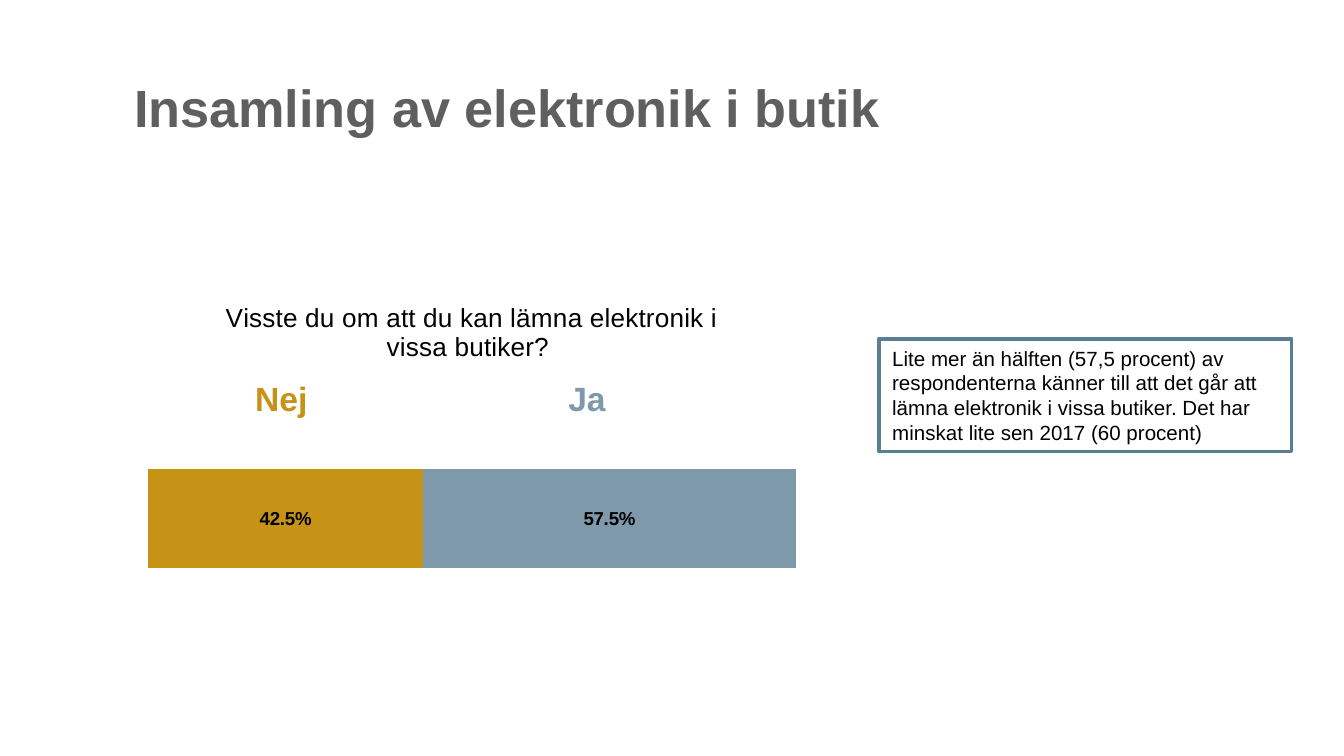
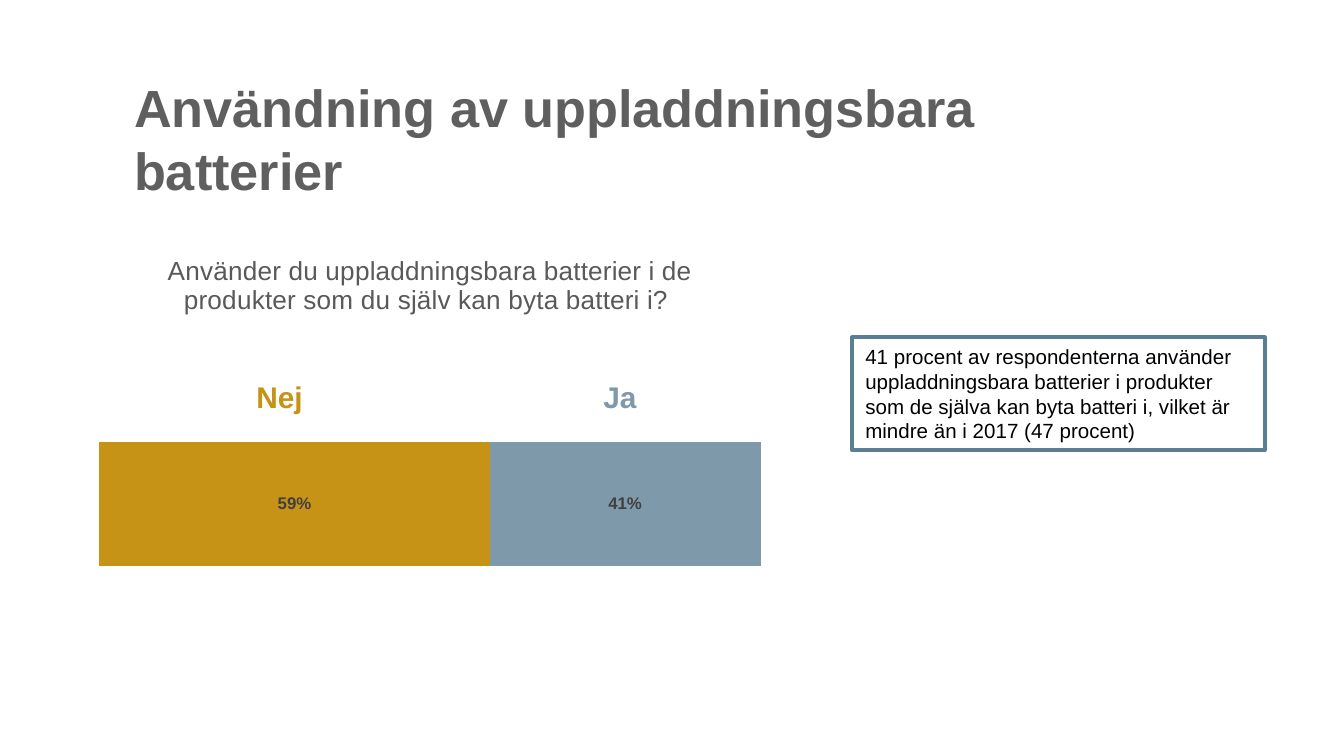
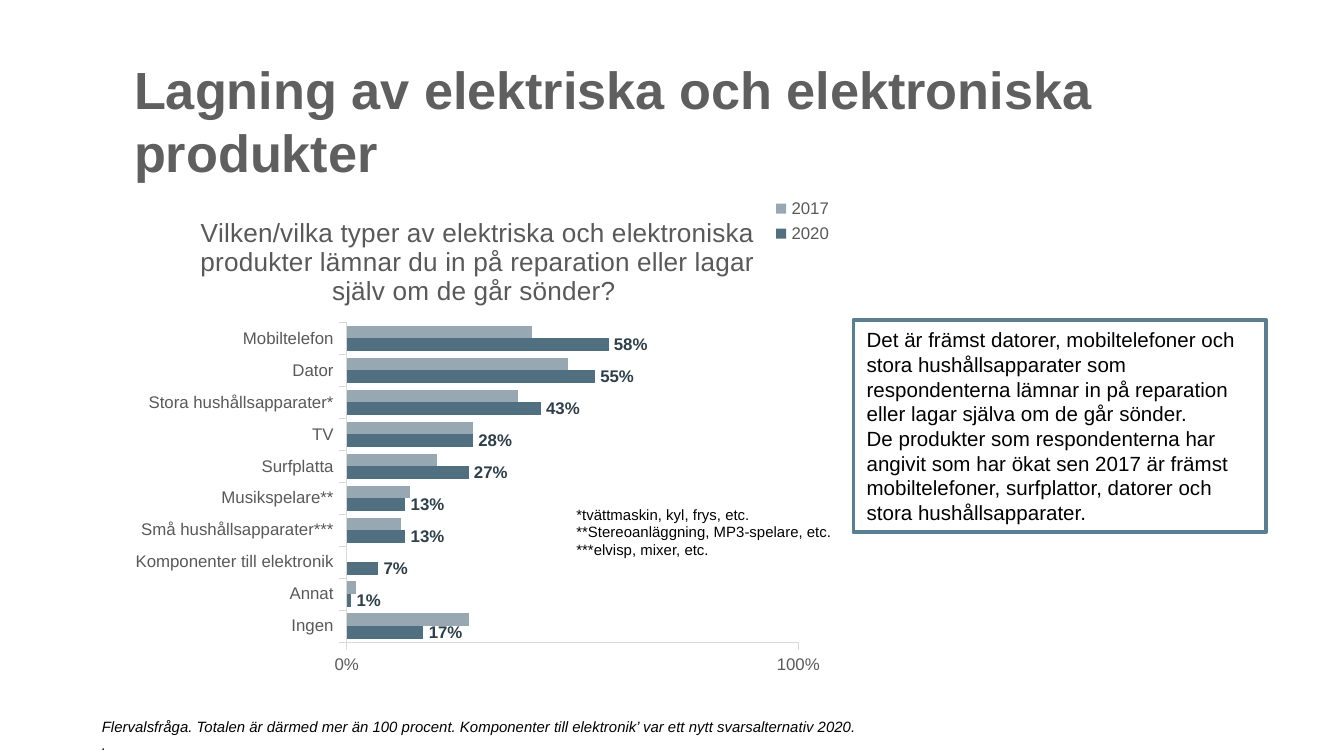
import pptx
import pptx.util
import pptx.chart.data
import pptx.dml.color
import pptx.enum.chart
import pptx.enum.shapes
import pptx.enum.text
from lxml import etree

Inches, Pt = pptx.util.Inches, pptx.util.Pt
RGBColor = pptx.dml.color.RGBColor
XL = pptx.enum.chart

FONT = "Arial"
BLACK = RGBColor(0x00, 0x00, 0x00)
WHITE = RGBColor(0xFF, 0xFF, 0xFF)
TITLE_GRAY = RGBColor(0x5F, 0x5F, 0x5F)
TEXT_GRAY = RGBColor(0x59, 0x59, 0x59)
DARK_GRAY = RGBColor(0x40, 0x40, 0x40)
AXIS_GRAY = RGBColor(0xD9, 0xD9, 0xD9)
BORDER_BLUE = RGBColor(0x5A, 0x7E, 0x92)
NO_GOLD = RGBColor(0xC7, 0x93, 0x16)
YES_BLUE = RGBColor(0x7E, 0x99, 0xAA)
BLUE_2020 = RGBColor(0x50, 0x70, 0x82)
GRAY_2017 = RGBColor(0x97, 0xA8, 0xB3)
LABEL_BLUE = RGBColor(0x2D, 0x3F, 0x49)

ANSWERS = [("Nej", NO_GOLD), ("Ja", YES_BLUE)]

SURVEYS = [
    dict(
        title="Insamling av elektronik i butik",
        question="Visste du om att du kan lämna elektronik i vissa butiker? ",
        question_color=BLACK,
        shares=(0.425, 0.575), fmt="0.0%", label_size=10, label_color=BLACK,
        chart=(1, 2.09, 5.02, 2.88), plot=(1.1, 2.82, 4.82, 2.08),
        answer_boxes=[(1.8, 2.76, 0.59, 0.4), (4.13, 2.76, 0.48, 0.4)], answer_size=18,
        note=(6.54, 2.52, 3.07, 0.84),
        comment="Lite mer än hälften (57,5 procent) av respondenterna känner till att det går att "
                "lämna elektronik i vissa butiker. Det har minskat lite sen 2017 (60 procent)",
    ),
    dict(
        title="Användning av uppladdningsbara batterier",
        question="Använder du uppladdningsbara batterier i de produkter som du själv kan byta batteri i? ",
        question_color=TEXT_GRAY,
        shares=(0.59, 0.41), fmt="0%", label_size=9, label_color=DARK_GRAY,
        chart=(0.64, 1.73, 5.12, 3.39), plot=(0.74, 2.45, 4.92, 2.6),
        answer_boxes=[(1.81, 2.77, 0.55, 0.37), (4.39, 2.77, 0.45, 0.37)], answer_size=16,
        note=(6.34, 2.51, 3.07, 0.84),
        comment="41 procent av respondenterna använder uppladdningsbara batterier i produkter som "
                "de själva kan byta batteri i, vilket är mindre än i 2017 (47 procent)",
    ),
]

REPAIR_TITLE = "Lagning av elektriska och elektroniska produkter"
REPAIR_QUESTION = ("Vilken/vilka typer av elektriska och elektroniska produkter lämnar du in på "
                   "reparation eller lagar själv om de går sönder? ")
REPAIRS = [
    ("Ingen", 0.17, 0.27),
    ("Annat", 0.01, 0.02),
    ("Komponenter till elektronik", 0.07, None),
    ("Små hushållsapparater***", 0.13, 0.12),
    ("Musikspelare**", 0.13, 0.14),
    ("Surfplatta", 0.27, 0.2),
    ("TV", 0.28, 0.28),
    ("Stora hushållsapparater*", 0.43, 0.38),
    ("Dator", 0.55, 0.49),
    ("Mobiltelefon", 0.58, 0.41),
]
REPAIR_COMMENTS = [
    "Det är främst datorer, mobiltelefoner och stora hushållsapparater som respondenterna "
    "lämnar in på reparation eller lagar själva om de går sönder.",
    "De produkter som respondenterna har angivit som har ökat sen 2017 är främst "
    "mobiltelefoner, surfplattor, datorer och stora hushållsapparater.",
]
PRODUCT_NOTES = ["*tvättmaskin, kyl, frys, etc.", "**Stereoanläggning, MP3-spelare, etc.",
                 "***elvisp, mixer, etc."]
FOOTNOTES = ["Flervalsfråga. Totalen är därmed mer än 100 procent. Komponenter till elektronik’ "
             "var ett nytt svarsalternativ 2020.", "."]


def style_font(font, size, color, bold=False, italic=False):
    font.name, font.size, font.bold, font.italic = FONT, Pt(size), bold, italic
    font.color.rgb = color


def write(tf, lines, size, color, wrap=True, **style):
    tf.word_wrap = wrap
    for i, line in enumerate(lines):
        p = tf.add_paragraph() if i else tf.paragraphs[0]
        p.alignment = pptx.enum.text.PP_ALIGN.LEFT
        r = p.add_run()
        r.text = line
        style_font(r.font, size, color, **style)


def add_text(s, box, lines, size, color, **style):
    sp = s.shapes.add_textbox(*map(Inches, box))
    write(sp.text_frame, lines, size, color, **style)


def add_title(s, text, top=0.51):
    add_text(s, (0.9, top, 8.03, 1.18), [text], 28, TITLE_GRAY, bold=True)


def add_note(s, box, lines):
    sp = s.shapes.add_shape(pptx.enum.shapes.MSO_SHAPE.RECTANGLE, *map(Inches, box))
    sp.shadow.inherit = False
    sp.fill.solid()
    sp.fill.fore_color.rgb = WHITE
    sp.line.color.rgb = BORDER_BLUE
    sp.line.width = Pt(2)
    write(sp.text_frame, lines, 11, BLACK)


def set_plot_layout(plot_area, box, plot):
    left, top, width, height = box
    x, y, w, h = plot
    shares = [(x - left) / width, (y - top) / height, w / width, h / height]
    ns = "{http://schemas.openxmlformats.org/drawingml/2006/chart}"
    for old in plot_area.findall(ns + "layout"):
        plot_area.remove(old)
    layout = etree.Element(ns + "layout")
    manual = etree.SubElement(layout, ns + "manualLayout")
    values = [("layoutTarget", "inner"), ("xMode", "edge"), ("yMode", "edge")]
    for name, val in values + list(zip("xywh", shares)):
        etree.SubElement(manual, ns + name).set("val", str(val))
    plot_area.insert(0, layout)


def add_bar_chart(s, kind, box, plot, question, question_color, cats, series, gap):
    data = pptx.chart.data.CategoryChartData()
    data.categories = cats
    for name, vals, color in series:
        data.add_series(name, vals)
    chart = s.shapes.add_chart(kind, *map(Inches, box), data).chart
    style_font(chart.font, 10, BLACK)
    chart.has_legend = False
    chart.has_title = True
    r = chart.chart_title.text_frame.paragraphs[0].add_run()
    r.text = question
    style_font(r.font, 14, question_color)
    bars = chart.plots[0]
    bars.gap_width = gap
    bars.vary_by_categories = False
    for ser, (name, vals, color) in zip(bars.series, series):
        ser.format.fill.solid()
        ser.format.fill.fore_color.rgb = color
        ser.invert_if_negative = False
    axis = chart.value_axis
    axis.minimum_scale, axis.maximum_scale, axis.major_unit = 0, 1, 1
    axis.has_major_gridlines = False
    set_plot_layout(bars._element.getparent(), box, plot)
    return chart


def label_values(ser, size, color, fmt, position):
    labels = ser.data_labels
    labels.show_value = True
    labels.number_format = fmt
    labels.number_format_is_linked = False
    labels.position = position
    style_font(labels.font, size, color, bold=True)


def build_survey(s, survey):
    series = [(f"Series {i}", [share], color)
              for i, (share, (word, color)) in enumerate(zip(survey["shares"], ANSWERS), 1)]
    chart = add_bar_chart(s, XL.XL_CHART_TYPE.BAR_STACKED_100, survey["chart"], survey["plot"],
                          survey["question"], survey["question_color"], ["1"], series, 182)
    chart.plots[0].overlap = 100
    chart.category_axis.visible = chart.value_axis.visible = False
    for ser in chart.plots[0].series:
        label_values(ser, survey["label_size"], survey["label_color"], survey["fmt"],
                     XL.XL_LABEL_POSITION.CENTER)
    add_title(s, survey["title"])
    add_note(s, survey["note"], [survey["comment"]])
    for box, (word, color) in zip(survey["answer_boxes"], ANSWERS):
        add_text(s, box, [word], survey["answer_size"], color, wrap=False, bold=True)


def build_repairs(s):
    cats, now, before = zip(*REPAIRS)
    chart = add_bar_chart(s, XL.XL_CHART_TYPE.BAR_CLUSTERED, (0.9, 1.44, 5.31, 3.65),
                          (2.58, 2.4, 3.36, 2.38), REPAIR_QUESTION, TEXT_GRAY, cats,
                          [("2020", now, BLUE_2020), ("2017", before, GRAY_2017)], 50)
    label_values(chart.plots[0].series[0], 9, LABEL_BLUE, "0%", XL.XL_LABEL_POSITION.OUTSIDE_END)
    for axis in (chart.category_axis, chart.value_axis):
        axis.major_tick_mark = XL.XL_TICK_MARK.OUTSIDE
        axis.format.line.color.rgb = AXIS_GRAY
        axis.format.line.width = Pt(0.75)
        style_font(axis.tick_labels.font, 9, TEXT_GRAY)
    chart.value_axis.tick_labels.number_format = "0%"
    chart.value_axis.tick_labels.number_format_is_linked = False
    chart.has_legend = True
    chart.legend.position = XL.XL_LEGEND_POSITION.CORNER
    chart.legend.include_in_layout = True
    style_font(chart.legend.font, 9, TEXT_GRAY)
    add_title(s, REPAIR_TITLE, 0.38)
    add_note(s, (6.35, 2.38, 3.07, 1.58), REPAIR_COMMENTS)
    add_text(s, (4.19, 3.71, 2.12, 0.5), PRODUCT_NOTES, 8, BLACK, wrap=False)
    add_text(s, (0.66, 5.29, 5.9, 0.37), FOOTNOTES, 8, BLACK, wrap=False, italic=True)


def main():
    prs = pptx.Presentation()
    prs.slide_width = Inches(10)
    prs.slide_height = prs.slide_width * 9 // 16
    blank = prs.slide_layouts[6]
    for survey in SURVEYS:
        build_survey(prs.slides.add_slide(blank), survey)
    build_repairs(prs.slides.add_slide(blank))
    prs.save("out.pptx")


if __name__ == "__main__":
    main()
